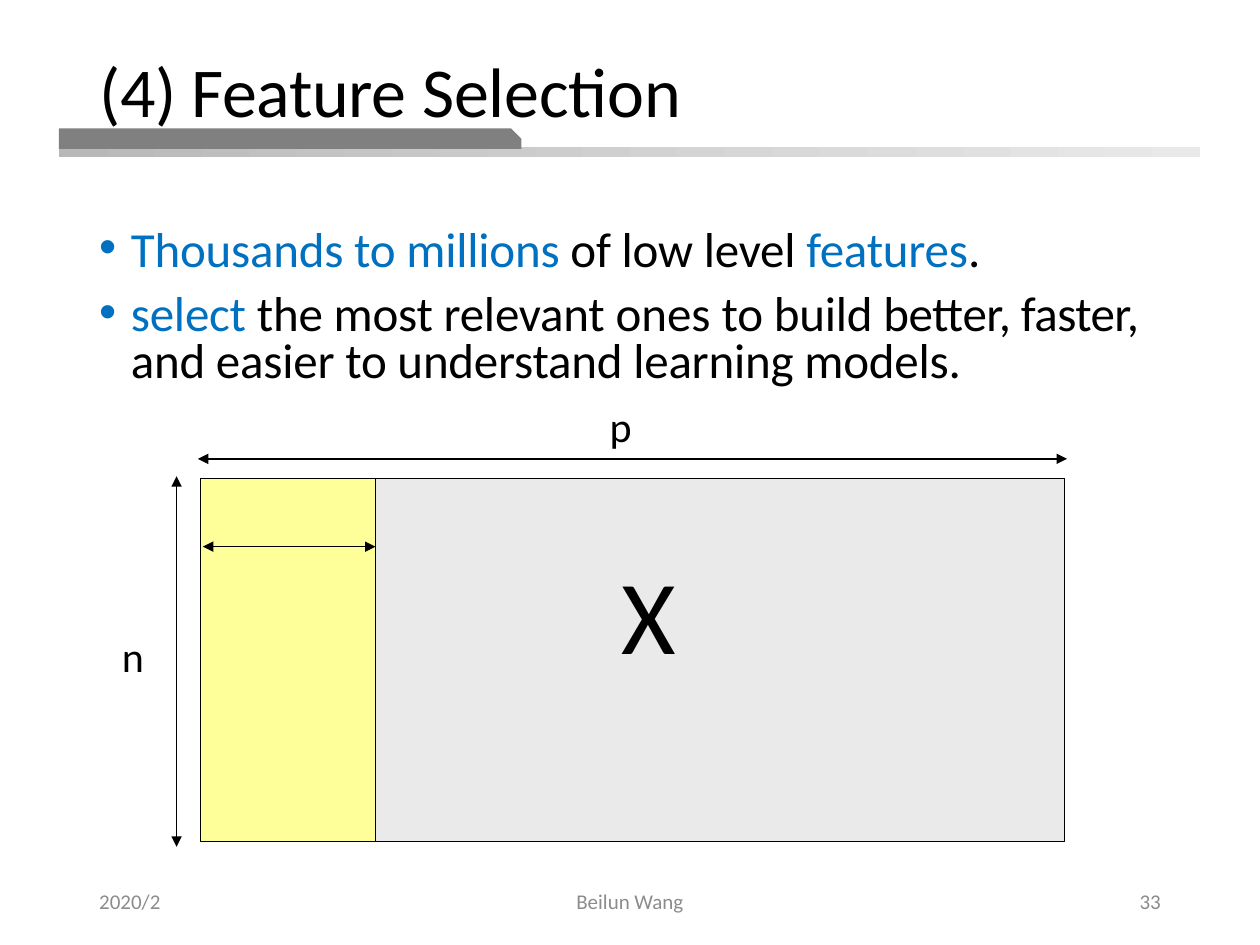
from lxml.etree import SubElement
from pptx import Presentation
from pptx.dml.color import RGBColor
from pptx.enum.shapes import MSO_CONNECTOR as Connector, MSO_SHAPE as Shape
from pptx.enum.text import MSO_ANCHOR as Anchor, PP_ALIGN as Align
from pptx.oxml.ns import qn
from pptx.util import Cm, Pt

BLACK = RGBColor(0x00, 0x00, 0x00)
BLUE = RGBColor(0x00, 0x70, 0xC0)
FOOTER_GRAY = RGBColor(0x8C, 0x8C, 0x8C)
TAB_GRAY = RGBColor(0x80, 0x80, 0x80)
BAND_START = RGBColor(0xB8, 0xB8, 0xB8)
BAND_END = RGBColor(0xE9, 0xE9, 0xE9)
MATRIX_GRAY = RGBColor(0xEA, 0xEA, 0xEA)
YELLOW = RGBColor(0xFF, 0xFF, 0x99)
FONT = "Calibri"


def add_run(paragraph, text, size=24, color=BLACK, spacing=0):
    run = paragraph.add_run()
    run.text = text
    run.font.name = FONT
    run.font.size = Pt(size)
    run.font.color.rgb = color
    if spacing:
        run.font._element.set("spc", str(round(spacing * 100)))


def add_label(slide, text, left, top, width, height, align=Align.LEFT,
              anchor=Anchor.TOP, inset=True, wrap=True, **run_format):
    box = slide.shapes.add_textbox(Cm(left), Cm(top), Cm(width), Cm(height))
    frame = box.text_frame
    frame.word_wrap = wrap
    frame.vertical_anchor = anchor
    if not inset:
        frame.margin_left = frame.margin_right = frame.margin_bottom = 0
        frame.margin_top = Cm(0.06)
    paragraph = frame.paragraphs[0]
    paragraph.alignment = align
    add_run(paragraph, text, **run_format)


def add_block(slide, kind, left, top, width, height, fill=None, outlined=False):
    block = slide.shapes.add_shape(kind, Cm(left), Cm(top), Cm(width), Cm(height))
    block.shadow.inherit = False
    if fill is None:
        block.fill.background()
    else:
        block.fill.solid()
        block.fill.fore_color.rgb = fill
    if outlined:
        block.line.color.rgb = BLACK
        block.line.width = Pt(0.75)
    else:
        block.line.fill.background()
    return block


def add_double_arrow(slide, x1, y1, x2, y2):
    arrow = slide.shapes.add_connector(
        Connector.STRAIGHT, Cm(x1), Cm(y1), Cm(x2), Cm(y2))
    arrow.line.color.rgb = BLACK
    arrow.line.width = Pt(0.75)
    line = arrow.line._get_or_add_ln()
    for end in ("a:headEnd", "a:tailEnd"):
        SubElement(line, qn(end), type="triangle", w="med", len="med")
    SubElement(arrow._element.spPr, qn("a:effectLst"))


def add_header(slide, left, top, width):
    band = add_block(slide, Shape.RECTANGLE, left, top + 1.95, width, 0.2, BAND_START)
    band.fill.gradient()
    band.fill.gradient_angle = 0
    for stop, color in zip(band.fill.gradient_stops, (BAND_START, BAND_END)):
        stop.color.rgb = color
    tab = add_block(slide, Shape.SNIP_1_RECTANGLE, left, top + 1.57, 9.32, 0.41, TAB_GRAY)
    tab.adjustments[0] = 0.5

    title = slide.shapes.title
    title.left, title.top = Cm(left + 0.56), Cm(top)
    title.width, title.height = Cm(21.29), Cm(1.63)
    tree = slide.shapes._spTree
    tree.remove(title._element)
    tree.append(title._element)
    title.text_frame.vertical_anchor = Anchor.TOP
    paragraph = title.text_frame.paragraphs[0]
    paragraph.alignment = Align.LEFT
    paragraph.line_spacing = 0.9
    add_run(paragraph, "(4) Feature ", size=40, spacing=-0.2)
    add_run(paragraph, "Selection", size=40, spacing=-0.1)


def add_bullets(slide, left, top, width, height):
    bullets = [
        [("Thousands to millions ", BLUE, -0.1), ("of low level ", BLACK, -0.1),
         ("features", BLUE, -0.1), (".", BLACK, -0.1)],
        [("select ", BLUE, -0.1), ("the most relevant ", BLACK, -0.1),
         ("ones ", BLACK, 0), ("to build ", BLACK, -0.1),
         ("better, faster, ", BLACK, -0.3),
         ("and easier to understand learning models.", BLACK, -0.1)],
    ]
    box = slide.shapes.add_textbox(Cm(left), Cm(top), Cm(width), Cm(height))
    frame = box.text_frame
    frame.word_wrap = True
    for index, runs in enumerate(bullets):
        paragraph = frame.add_paragraph() if index else frame.paragraphs[0]
        paragraph.line_spacing = 0.8
        paragraph.space_before = Pt(10 if index else 0)
        properties = paragraph._p.get_or_add_pPr()
        properties.set("marL", str(Cm(0.64)))
        properties.set("indent", str(-Cm(0.64)))
        SubElement(properties, qn("a:buFont"), typeface="Arial")
        SubElement(properties, qn("a:buChar"), char="•")
        for text, color, spacing in runs:
            add_run(paragraph, text, size=28, color=color, spacing=spacing)


def add_matrix(slide, left, top, width, height, selected):
    right, bottom = left + width, top + height
    add_block(slide, Shape.RECTANGLE, left + selected, top, width - selected, height,
              MATRIX_GRAY)
    add_block(slide, Shape.RECTANGLE, left, top, width, height, outlined=True)
    add_label(slide, "X", left + 8.48, top + 1.37, 1.14, 2.62, inset=False, size=60)
    add_double_arrow(slide, left - 0.05, top - 0.4, right + 0.05, top - 0.4)
    add_double_arrow(slide, left - 0.48, top - 0.05, left - 0.48, bottom + 0.1)
    add_label(slide, "n", left - 1.58, top + 3, 0.41, 1.07, inset=False)
    add_block(slide, Shape.RECTANGLE, left, top, selected, height, YELLOW, outlined=True)
    add_double_arrow(slide, left + 0.05, top + 1.37, left + selected, top + 1.37)
    add_label(slide, "p", left + 8, top - 1.7, 0.97, 1.27, wrap=False)


def add_footer(slide, left, top, width, height):
    side, middle = 5.72, 8.58
    parts = [
        ("2020/2", left, side, Align.LEFT),
        ("Beilun Wang", left + (width - middle) / 2, middle, Align.CENTER),
        ("33", left + width - side, side, Align.RIGHT),
    ]
    for text, part_left, part_width, align in parts:
        add_label(slide, text, part_left, top, part_width, height, align=align,
                  anchor=Anchor.MIDDLE, size=12, color=FOOTER_GRAY)


def main():
    presentation = Presentation()
    presentation.slide_width, presentation.slide_height = Cm(25.4), Cm(19.05)
    slide = presentation.slides.add_slide(presentation.slide_layouts[5])
    add_header(slide, 1.19, 1.02, 23.01)
    add_bullets(slide, 1.75, 4.5, 21.89, 12.67)
    add_footer(slide, 1.75, 17.65, 21.9, 1.02)
    add_matrix(slide, 4.04, 9.65, 17.42, 7.32, selected=3.53)
    presentation.save("out.pptx")


if __name__ == "__main__":
    main()
